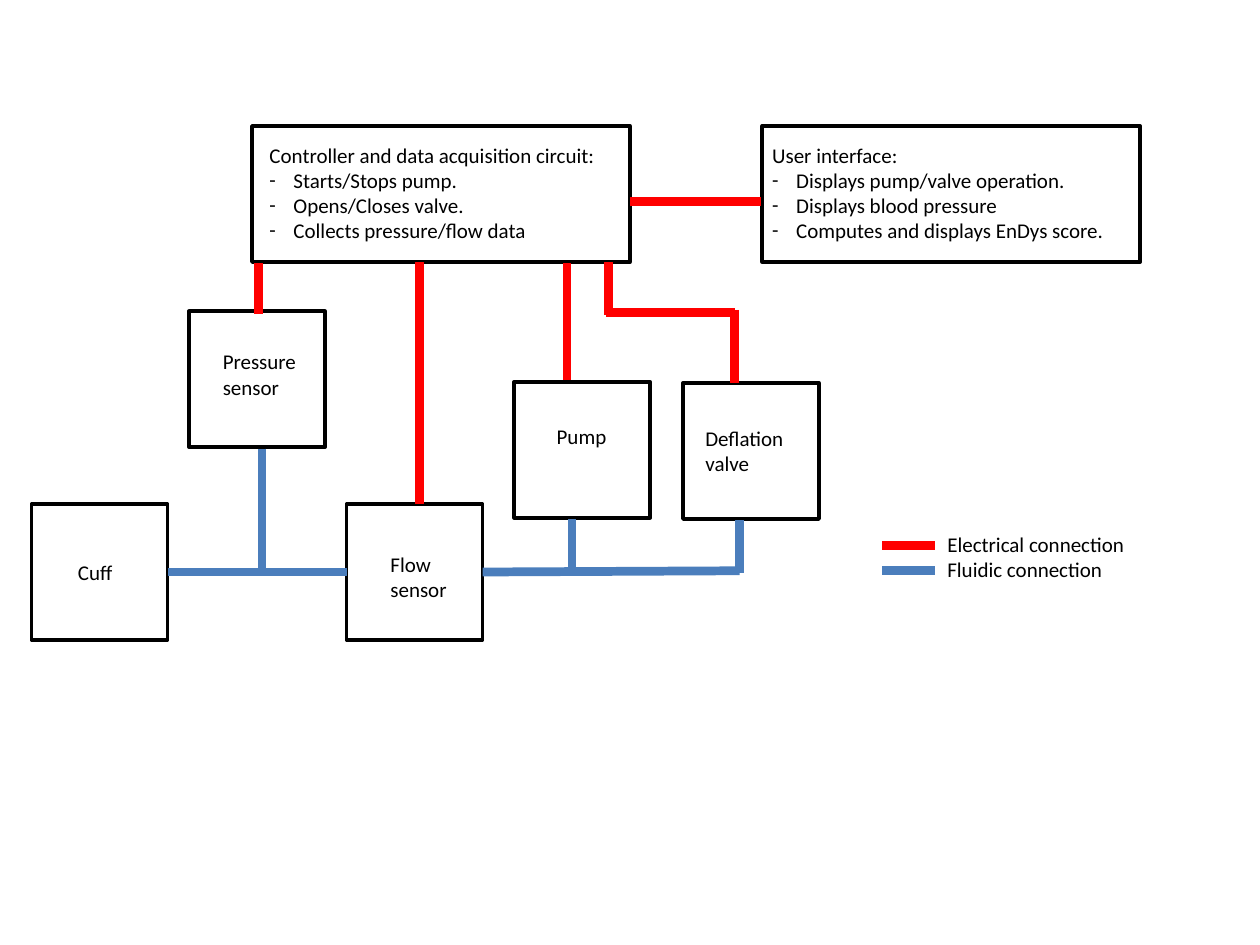
from lxml.etree import SubElement
from pptx import Presentation
from pptx.dml.color import RGBColor
from pptx.enum.shapes import MSO_CONNECTOR, MSO_SHAPE
from pptx.enum.text import MSO_AUTO_SIZE
from pptx.oxml.ns import qn
from pptx.util import Inches, Pt

COLORS = {"ink": "000000", "power": "FF0000", "fluid": "4B7EBC"}
FONT = {"name": "Calibri", "size": Pt(12)}
SIDE = 1.08
WIDE = 3
INDENT = Inches(0.19)


def tint(key):
    """Return the named colour."""
    return RGBColor.from_string(COLORS[key])


def add_text(slide, box, lines, wrap=False, dashes=False):
    """Place lines of text, with dashes after the first line if asked."""
    frame = slide.shapes.add_textbox(*map(Inches, box)).text_frame
    frame.word_wrap = wrap
    frame.auto_size = MSO_AUTO_SIZE.SHAPE_TO_FIT_TEXT
    for i, line in enumerate(lines):
        para = frame.paragraphs[0] if i == 0 else frame.add_paragraph()
        run = para.add_run()
        run.text = line
        for key, value in FONT.items():
            setattr(run.font, key, value)
        run.font.color.rgb = tint("ink")
        if dashes and i:
            props = para._p.get_or_add_pPr()
            props.set("marL", str(INDENT))
            props.set("indent", str(-INDENT))
            SubElement(props, qn("a:buFont"), typeface="Calibri")
            SubElement(props, qn("a:buChar"), char="-")


def add_block(slide, left, top, width, lines, inset, size, **style):
    """Draw an outlined block with its text inset from the corner."""
    rect = slide.shapes.add_shape(
        MSO_SHAPE.RECTANGLE, *map(Inches, (left, top, width, SIDE)))
    rect.shadow.inherit = False
    rect.fill.background()
    rect.line.color.rgb = tint("ink")
    rect.line.width = Pt(2)
    add_text(slide, (left + inset[0], top + inset[1], *size), lines, **style)


def add_link(slide, color, *points):
    """Draw a straight connection between two points."""
    link = slide.shapes.add_connector(
        MSO_CONNECTOR.STRAIGHT, *map(Inches, points))
    link.line.color.rgb = tint(color)
    link.line.width = Pt(5)
    SubElement(link._element.spPr, qn("a:effectLst"))


def add_key(slide, left, top):
    """Draw the legend of connection types."""
    for i, color in enumerate(("power", "fluid")):
        y = top + 0.16 + 0.2 * i
        add_link(slide, color, left, y, left + 0.42, y)
    add_text(slide, (left + 0.42, top, 1.65, 0.5),
             ["Electrical connection", "Fluidic connection"], wrap=True)


PANELS = [
    (2, 0.04, ["Controller and data acquisition circuit:", "Starts/Stops pump.",
               "Opens/Closes valve.", "Collects pressure/flow data"]),
    (6.05, -0.02, ["User interface:", "Displays pump/valve operation.",
                   "Displays blood pressure",
                   "Computes and displays EnDys score."]),
]
PARTS = [
    (0.25, 4, ["Cuff"], (0.27, 0.39), (0.48, 0.3)),
    (2.75, 4, ["Flow", "sensor"], (0.25, 0.33), (0.65, 0.5)),
    (4.08, 3.03, ["Pump"], (0.24, 0.28), (0.6, 0.3)),
    (5.42, 3.04, ["Deflation", "valve"], (0.08, 0.29), (0.87, 0.5)),
    (1.5, 2.47, ["Pressure", "sensor"], (0.17, 0.25), (0.83, 0.5)),
]
LINKS = {
    "fluid": [
        (1.33, 4.54, 2.75, 4.54), (3.83, 4.54, 5.87, 4.53),
        (4.54, 4.12, 4.54, 4.54), (5.87, 4.13, 5.87, 4.55),
        (2.08, 3.56, 2.08, 4.52),
    ],
    "power": [
        (5, 1.6, 6.04, 1.6), (3.33, 2.08, 3.33, 4),
        (4.5, 2.09, 4.5, 3.02), (4.83, 2.08, 4.83, 2.5),
        (4.81, 2.48, 5.83, 2.48), (5.83, 2.46, 5.83, 3.04),
        (2.05, 2.09, 2.05, 2.49),
    ],
}


def build():
    """Build and save the block diagram."""
    deck = Presentation()
    deck.slide_width, deck.slide_height = Inches(10), Inches(7.5)
    slide = deck.slides.add_slide(deck.slide_layouts[6])
    for left, shift, lines in PANELS:
        add_block(slide, left, 1, WIDE, lines, (shift, 0.08), (2.92, 0.91),
                  wrap=True, dashes=True)
    for left, top, lines, inset, size in PARTS:
        add_block(slide, left, top, SIDE, lines, inset, size)
    for color, routes in LINKS.items():
        for route in routes:
            add_link(slide, color, *route)
    add_key(slide, 7, 4.17)
    deck.save("out.pptx")


build()
